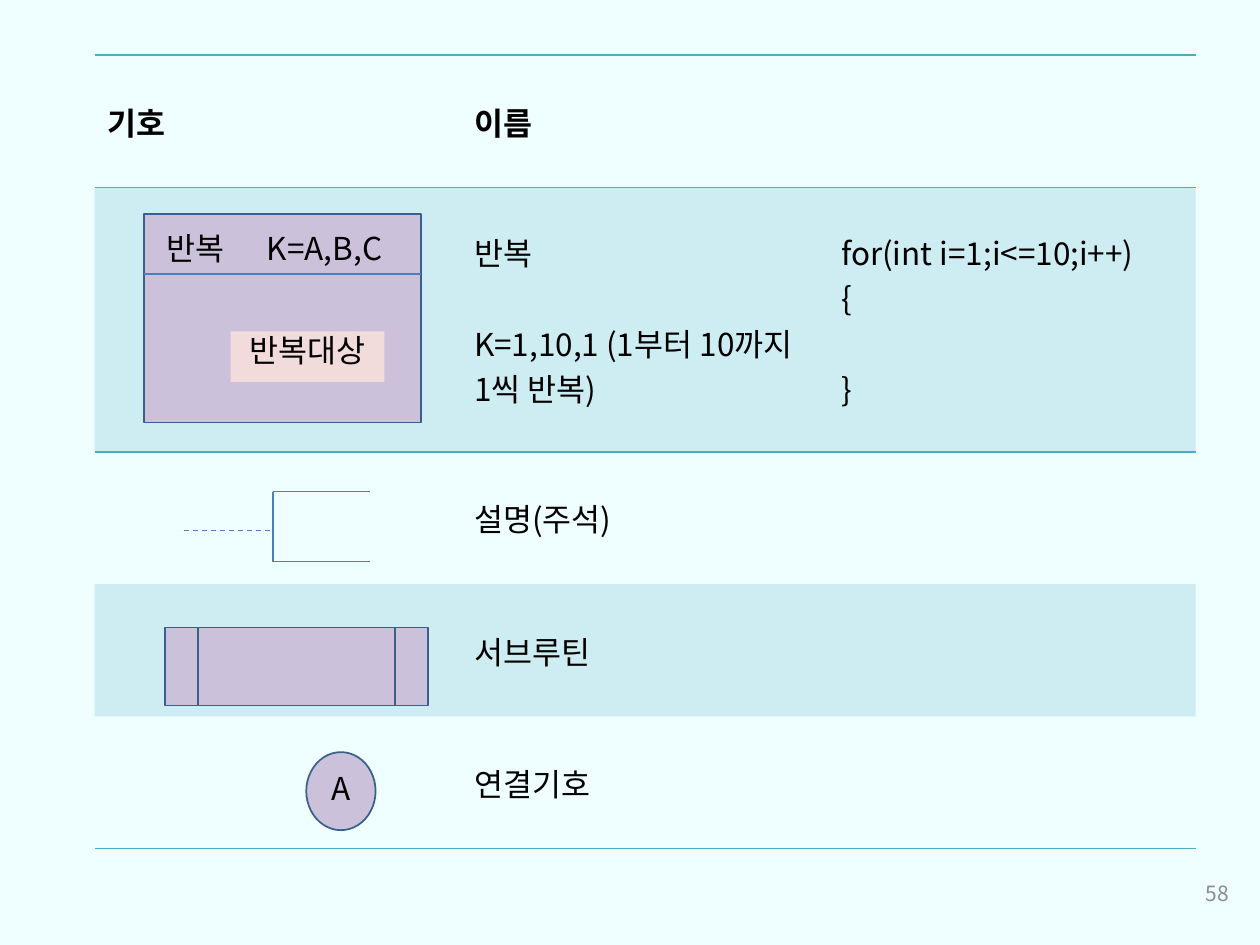
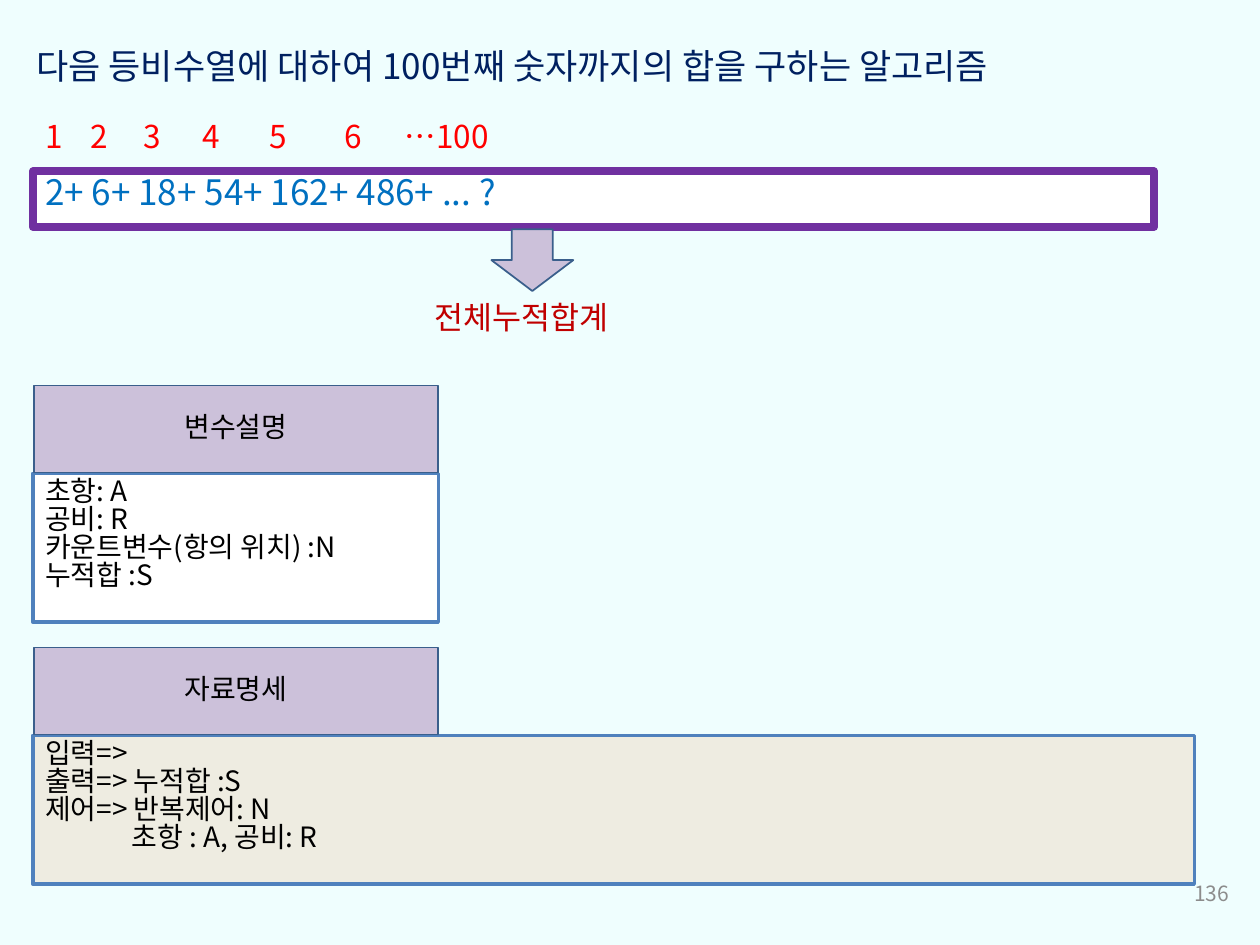
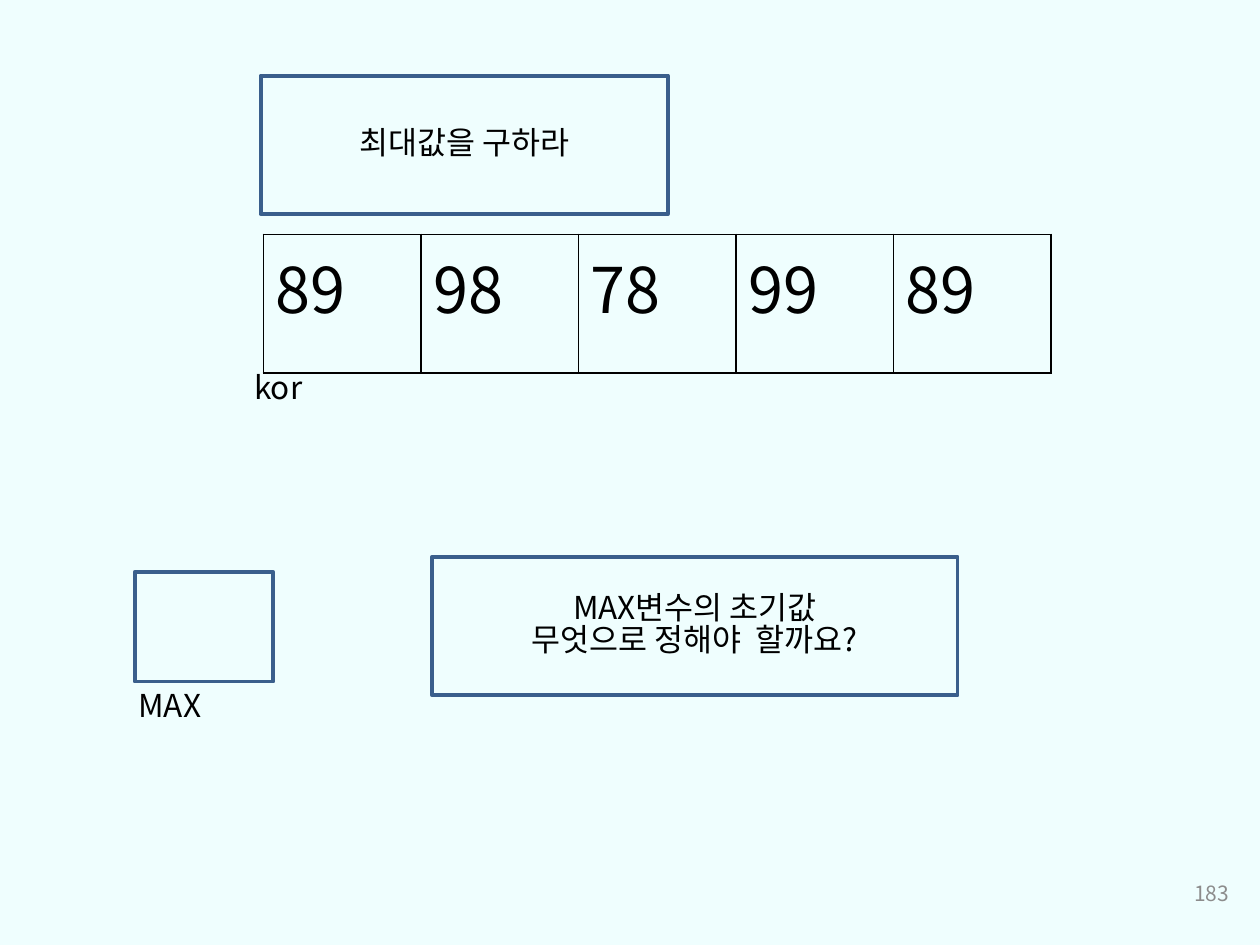
from lxml import etree
from pptx import Presentation
from pptx import util as u
from pptx.dml.color import RGBColor
from pptx.enum import dml, shapes, text
from pptx.oxml.ns import qn

Pt = u.Pt
MSO, AL, ANC = shapes.MSO_SHAPE, text.PP_ALIGN, text.MSO_ANCHOR


class T:
    font = "Noto Sans CJK KR"
    bg, black, white, grey = "EFFEFE", "000000", "FFFFFF", "8C8C8C"
    lilac, pink, cream, teal = "CCC1DA", "F2DCDB", "EEECE1", "4BACC6"
    edge, rule, frame, purple = "3A5F8C", "4B7EBC", "4F81BD", "7030A0"
    navy, blue, red, dark_red = "002060", "0070C0", "FF0000", "C00000"
    page, small, body, title, number = 12, 16, 18, 20, 36
    line_spacing = 0.83
    band_alpha = 20
    plain_table = "{2D5ABB26-0587-4C30-8999-92F81FD0307C}"


def write(tf, lines, size=T.body, color=T.black, bold=False, align=AL.LEFT,
          spacing=None, tabs=()):
    """Fill a text frame with one paragraph for each line."""
    for i, line in enumerate(lines):
        p = tf.paragraphs[0] if i == 0 else tf.add_paragraph()
        for name, value in {"alignment": align, "line_spacing": spacing}.items():
            setattr(p, name, value)
        if tabs:
            tab_list = etree.SubElement(p._p.get_or_add_pPr(), qn("a:tabLst"))
            for pos in tabs:
                etree.SubElement(tab_list, qn("a:tab"), pos=str(Pt(pos)), algn="l")
        r = p.add_run()
        r.text = line
        for name, value in {"size": Pt(size), "bold": bold, "name": T.font}.items():
            setattr(r.font, name, value)
        r.font.color.rgb = RGBColor.from_string(color)
        etree.SubElement(r.font._element, qn("a:ea"), typeface=T.font)


def box(s, at, lines=(), kind=None, fill=None, line=None, width=1,
        anchor=ANC.TOP, **fmt):
    """Add a text box, or a preset shape when a kind is given."""
    at = [Pt(v) for v in at]
    if kind is None:
        sp = s.shapes.add_textbox(*at)
    else:
        sp = s.shapes.add_shape(kind, *at)
        sp.shadow.inherit = False
        for part, color in ((sp.fill, fill), (sp.line.fill, line)):
            if color:
                part.solid()
                part.fore_color.rgb = RGBColor.from_string(color)
            else:
                part.background()
        if line:
            sp.line.width = Pt(width)
    tf = sp.text_frame
    for name, value in {"word_wrap": True, "vertical_anchor": anchor}.items():
        setattr(tf, name, value)
    write(tf, lines, spacing=T.line_spacing, **fmt)
    return sp


prs = Presentation()
prs.slide_width, prs.slide_height = Pt(720), Pt(540)
bg = prs.slide_master.background.fill
bg.solid()
bg.fore_color.rgb = RGBColor.from_string(T.bg)

# Slides with their page numbers
slides = []
for page in ("58", "136", "183"):
    s = prs.slides.add_slide(prs.slide_layouts[6])
    box(s, (541.5, 497, 168, 28.8), [page], anchor=ANC.MIDDLE,
        size=T.page, color=T.grey, align=AL.RIGHT)
    slides.append(s)
symbols, series, maximum = slides

centred = {"align": AL.CENTER, "anchor": ANC.MIDDLE}
lilac = {"fill": T.lilac, "line": T.edge}

# Tables: slide, place, column width, row heights, rows of cell lines
unit = 75.6
symbol_rows = [
    [["기호"], ["이름"], []],
    [[], ["반복", "K=1,10,1 (1부터 10까지 1씩 반복)"],
     ["for(int i=1;i<=10;i++)", "{", "}"]],
    [[], ["설명(주석)"], []],
    [[], ["서브루틴"], []],
    [[], ["연결기호"], []],
]
score_rows = [[["89"], ["98"], ["78"], ["99"], ["89"]]]
tables = []
for s, left, top, col_w, heights, rows, size in (
    (symbols, 54, 31.5, 209.75, [unit, 2 * unit, unit, unit, unit], symbol_rows, T.body),
    (maximum, 150.5, 134, 90, [79.2], score_rows, T.number),
):
    cols = len(rows[0])
    tbl = s.shapes.add_table(len(rows), cols, Pt(left), Pt(top),
                             Pt(col_w * cols), Pt(sum(heights))).table
    tbl.first_row = tbl.horz_banding = False
    tbl._tbl.tblPr.find(qn("a:tableStyleId")).text = T.plain_table
    for col in tbl.columns:
        col.width = Pt(col_w)
    for i, (height, row) in enumerate(zip(heights, rows)):
        tbl.rows[i].height = Pt(height)
        for j, lines in enumerate(row):
            cell = tbl.cell(i, j)
            grid = s is maximum
            cell.vertical_anchor = ANC.TOP if grid else ANC.MIDDLE
            write(cell.text_frame, lines, size=size, bold=not grid and i == 0)

            # Every second row of the symbol table is tinted
            if i % 2:
                cell.fill.solid()
                cell.fill.fore_color.rgb = RGBColor.from_string(T.teal)
                tint = cell._tc.tcPr.find(".//" + qn("a:srgbClr"))
                etree.SubElement(tint, qn("a:alpha"), val=str(T.band_alpha * 1000))
            else:
                cell.fill.background()

            # Borders: a full grid, or rules round the header and at the foot
            sides = "LRTB" if grid else {0: "TB", 1: "T", len(rows) - 1: "B"}.get(i, "")
            for k, side in enumerate(sides):
                ln = etree.Element(qn("a:ln" + side), w=str(Pt(1)))
                solid = etree.SubElement(ln, qn("a:solidFill"))
                etree.SubElement(solid, qn("a:srgbClr"), val=T.black if grid else T.teal)
                cell._tc.tcPr.insert(k, ln)
    tables.append(tbl)

# Gap of one line before the loop range and the closing brace
for col in (1, 2):
    tables[0].cell(1, col).text_frame.paragraphs[-1].space_before = Pt(26)

# Slide 1: flowchart symbols
s = symbols
box(s, (82.2, 122.5, 158.6, 119), kind=MSO.RECTANGLE, **lilac)
box(s, (88, 131, 153.5, 28.8), ["반복\tK=A,B,C"], tabs=[57.5])
for x1, y1, x2, y2, dash in (
    (82.2, 156.6, 240.8, 156.6, None),
    (105, 303, 156, 303, dml.MSO_LINE.DASH),
    (156, 281, 211.6, 281, None),
    (156, 321, 211.6, 321, None),
    (156, 281, 156, 321, None),
):
    c = s.shapes.add_connector(shapes.MSO_CONNECTOR.STRAIGHT, Pt(x1), Pt(y1), Pt(x2), Pt(y2))
    c.line.color.rgb = RGBColor.from_string(T.rule)
    for name, value in {"width": Pt(0.75), "dash_style": dash}.items():
        setattr(c.line, name, value)
    etree.SubElement(c._element.spPr, qn("a:effectLst"))
box(s, (94.2, 358.6, 150.5, 44.6), kind=MSO.FLOWCHART_PREDEFINED_PROCESS, **lilac)
box(s, (175, 429.8, 39.6, 44.6), ["A"], kind=MSO.FLOWCHART_CONNECTOR, **lilac, **centred)
box(s, (131.8, 189.4, 87.8, 28.8), ["반복대상"], kind=MSO.RECTANGLE,
    fill=T.pink, align=AL.CENTER)

# Slide 2: title, series and its total
s = series
box(s, (13.7, 26, 669.6, 31.7),
    ["다음 등비수열에 대하여 100번째 숫자까지의 합을 구하는 알고리즘"],
    size=T.title, color=T.navy)
box(s, (18.7, 98, 640.8, 31.7), ["2+ 6+ 18+ 54+ 162+ 486+ ... ?"], kind=MSO.RECTANGLE,
    fill=T.white, line=T.purple, width=4.5, size=T.title, color=T.blue)
box(s, (18.7, 67, 640.8, 28.8), ["1\t2\t3\t4\t5\t6\t…100"], color=T.red,
    tabs=[26, 56.5, 90, 128.5, 171, 205.5])
box(s, (241.2, 170.6, 136, 28.8), ["전체누적합계"], color=T.dark_red)
box(s, (280.8, 131, 46.8, 35.3), kind=MSO.DOWN_ARROW, **lilac)

# Slide 2: headed panels
for top, head, lines, width, fill in (
    (220.3, "변수설명", ["초항: A", "공비: R", "카운트변수(항의 위치) :N", "누적합 :S"],
     231.8, T.white),
    (370, "자료명세", ["입력=>", "출력=> 누적합 :S", "제어=> 반복제어: N", "초항 : A, 공비: R"],
     663.8, T.cream),
):
    panel = box(s, (18.7, top + 50.2, width, 85), lines, kind=MSO.RECTANGLE,
                fill=fill, line=T.frame, width=2, size=T.small)
    box(s, (19.4, top, 231, 49.7), [head], kind=MSO.RECTANGLE, size=T.small,
        **lilac, **centred)
panel.text_frame.paragraphs[-1]._p.get_or_add_pPr().set("marL", str(Pt(49.5)))

# Slide 3: framed boxes and variable names
s = maximum
for at, lines in (
    ((149, 43.2, 232.6, 79.2), ["최대값을 구하라"]),
    ((77, 326.9, 79.2, 62.6), []),
    ((247, 318.2, 300.2, 79.2), ["MAX변수의 초기값", "무엇으로 정해야  할까요?"]),
):
    box(s, at, lines, kind=MSO.RECTANGLE, line=T.edge, width=2.25, **centred)
for left, top, name in ((138.2, 210.2, "kor"), (72, 392.4, "MAX")):
    box(s, (left, top, 57, 28.8), [name])

prs.save("out.pptx")
